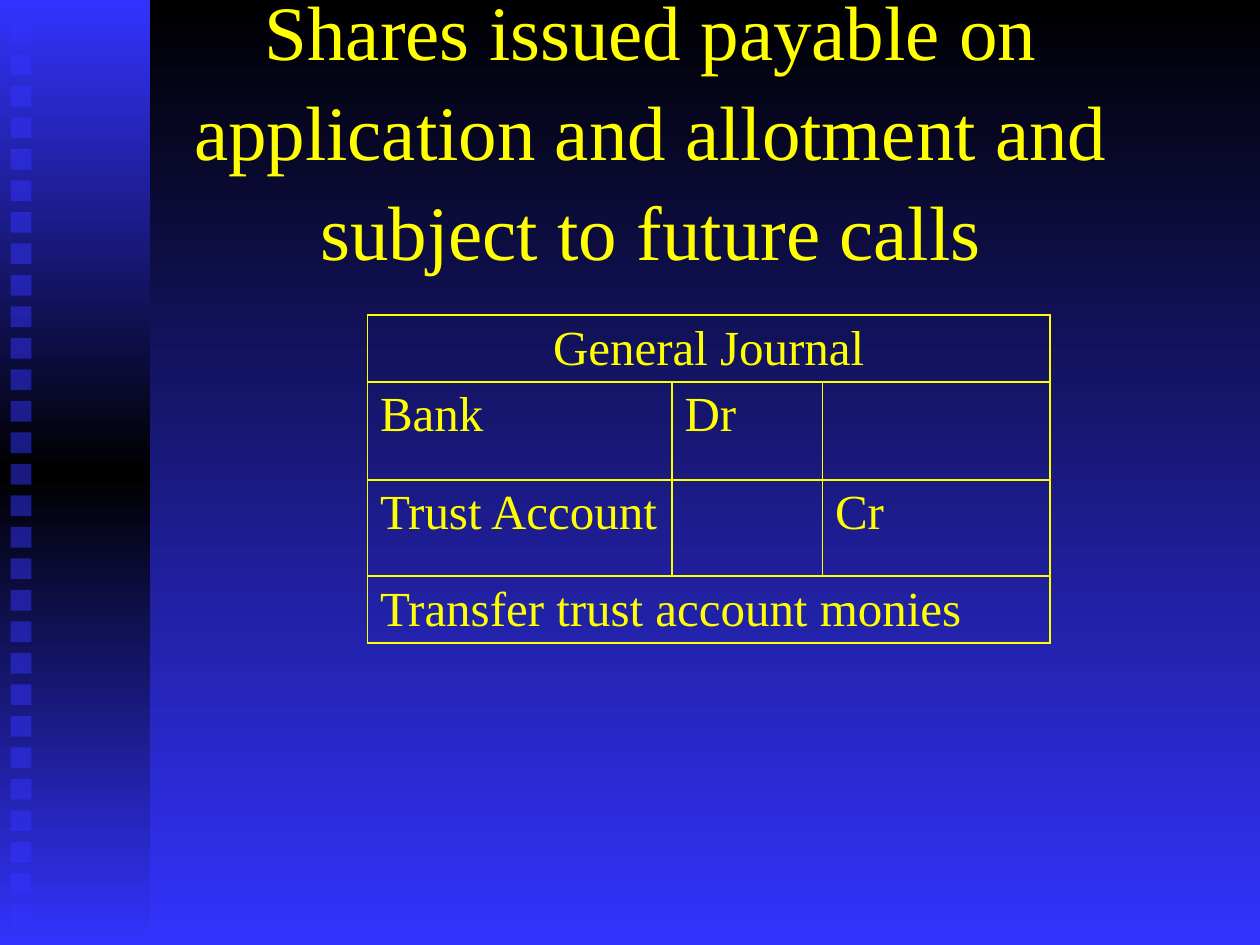
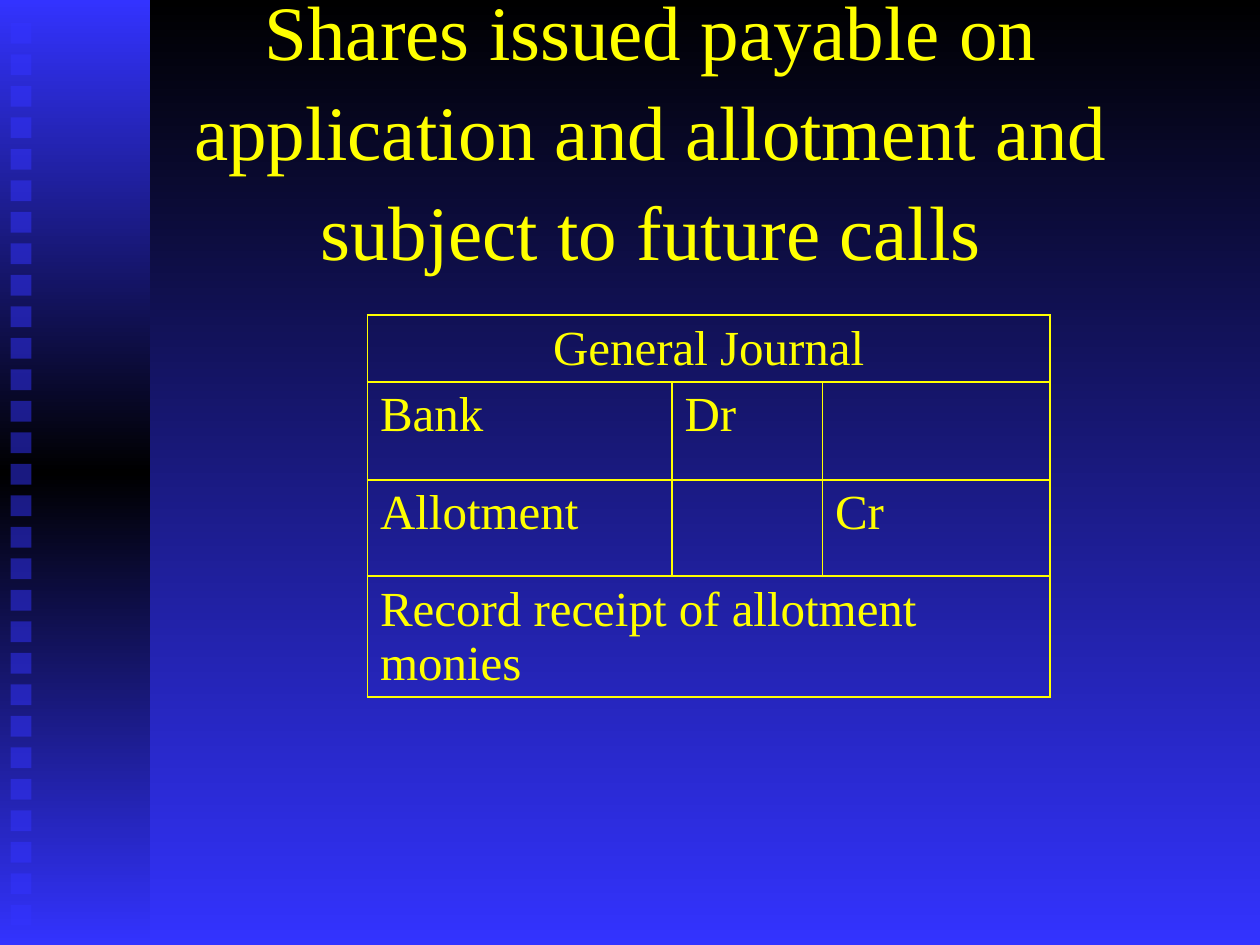
from copy import deepcopy

from lxml import etree
from pptx import Presentation
from pptx.dml.color import RGBColor
from pptx.enum.shapes import MSO_SHAPE
from pptx.enum.text import MSO_ANCHOR, MSO_AUTO_SIZE, PP_ALIGN
from pptx.oxml.ns import qn
from pptx.util import Pt

RECTANGLE = MSO_SHAPE.RECTANGLE
MIDDLE = MSO_ANCHOR.MIDDLE
NO_AUTOFIT = MSO_AUTO_SIZE.NONE
CENTER, LEFT = PP_ALIGN.CENTER, PP_ALIGN.LEFT

YELLOW = RGBColor(0xFF, 0xFF, 0x00)
BLUE = RGBColor(0x33, 0x33, 0xFF)
BLACK = RGBColor(0x00, 0x00, 0x00)
FONT = "Times New Roman"
TITLE_ONLY = 5

# Boxes: left, top, width, height in points
SLIDE_WIDTH, SLIDE_HEIGHT = 720, 540
BAND_BOX = (0, 0, 85.7, SLIDE_HEIGHT)
TITLE_BOX = (66, 24, 612, 96)
JOURNAL_BOX = (210, 180, 390, 175)

COLUMN_WIDTHS = (174, 86, 130)
ROW_HEIGHTS = (31, 56, 55, 33)

HEADING = ("Shares issued payable on application and allotment "
           "and subject to future calls")
# Account credited, narration
ENTRIES = (
    ("Trust Account", "Transfer trust account monies"),
    ("Allotment", "Record receipt of allotment monies"),
)


def paint_gradient(fill, owner, colours):
    """Fill from top to bottom with evenly spaced colour stops."""
    fill.gradient()
    fill.gradient_angle = 270
    stop_list = owner.find(".//" + qn("a:gsLst"))
    while len(stop_list) < len(colours):
        stop_list.append(deepcopy(stop_list[-1]))
    for i, (stop, colour) in enumerate(zip(fill.gradient_stops, colours)):
        stop.color.rgb = colour
        stop.position = i / (len(colours) - 1)


def add_plain_rectangle(shapes, left, top, width, height):
    rectangle = shapes.add_shape(RECTANGLE, Pt(left), Pt(top),
                                 Pt(width), Pt(height))
    rectangle.shadow.inherit = False
    rectangle.line.fill.background()
    return rectangle


def add_run(paragraph, text, size):
    run = paragraph.add_run()
    run.text = text
    run.font.name = FONT
    run.font.size = Pt(size)
    run.font.color.rgb = YELLOW


def add_side_band(slide, box):
    """Gradient strip with a column of translucent squares."""
    left, top, width, height = box
    shapes = slide.shapes.add_group_shape().shapes
    strip = add_plain_rectangle(shapes, left, top, width, height)
    paint_gradient(strip.fill, strip._element, (BLUE, BLACK, BLUE))
    side, pitch, count = 12, 18, 29
    for i in range(count):
        square = add_plain_rectangle(shapes, left + 6, top + 13 + i * pitch,
                                     side, side)
        square.fill.solid()
        square.fill.fore_color.rgb = BLUE
        colour = square._element.find(".//" + qn("a:srgbClr"))
        etree.SubElement(colour, qn("a:alpha"), val="50000")


def add_heading(slide, box, text):
    heading = slide.shapes.title
    heading.left, heading.top, heading.width, heading.height = map(Pt, box)
    frame = heading.text_frame
    frame.word_wrap = True
    frame.auto_size = NO_AUTOFIT
    frame.vertical_anchor = MIDDLE
    paragraph = frame.paragraphs[0]
    paragraph.alignment = CENTER
    paragraph.line_spacing = 1.08
    add_run(paragraph, text, 44)


def format_cell(cell):
    """Yellow border on every side, no fill."""
    properties = cell._tc.get_or_add_tcPr()
    for side in ("a:lnL", "a:lnR", "a:lnT", "a:lnB"):
        line = etree.SubElement(properties, qn(side), w=str(Pt(1)))
        solid = etree.SubElement(line, qn("a:solidFill"))
        etree.SubElement(solid, qn("a:srgbClr"), val=str(YELLOW))
    cell.fill.background()


def add_journal(slide, box, credited, narration):
    rows = (
        ("General Journal", "", ""),
        ("Bank", "Dr", ""),
        (credited, "", "Cr"),
        (narration, "", ""),
    )
    journal = slide.shapes.add_table(len(rows), len(COLUMN_WIDTHS),
                                     *map(Pt, box)).table
    journal.first_row = journal.horz_banding = False
    for column, width in zip(journal.columns, COLUMN_WIDTHS):
        column.width = Pt(width)
    for row, height in zip(journal.rows, ROW_HEIGHTS):
        row.height = Pt(height)
    for r, texts in enumerate(rows):
        for c, text in enumerate(texts):
            cell = journal.cell(r, c)
            format_cell(cell)
            if text:
                paragraph = cell.text_frame.paragraphs[0]
                paragraph.alignment = LEFT if r else CENTER
                add_run(paragraph, text, 28)
    # Heading and narration span the full width
    for r in (0, len(rows) - 1):
        journal.cell(r, 0).merge(journal.cell(r, len(COLUMN_WIDTHS) - 1))


def add_entry_slide(deck, credited, narration):
    slide = deck.slides.add_slide(deck.slide_layouts[TITLE_ONLY])
    add_side_band(slide, BAND_BOX)
    add_heading(slide, TITLE_BOX, HEADING)
    add_journal(slide, JOURNAL_BOX, credited, narration)


def main():
    deck = Presentation()
    deck.slide_width, deck.slide_height = Pt(SLIDE_WIDTH), Pt(SLIDE_HEIGHT)
    master = deck.slide_master
    paint_gradient(master.background.fill, master._element, (BLACK, BLUE))
    for credited, narration in ENTRIES:
        add_entry_slide(deck, credited, narration)
    deck.save("out.pptx")


if __name__ == "__main__":
    main()
